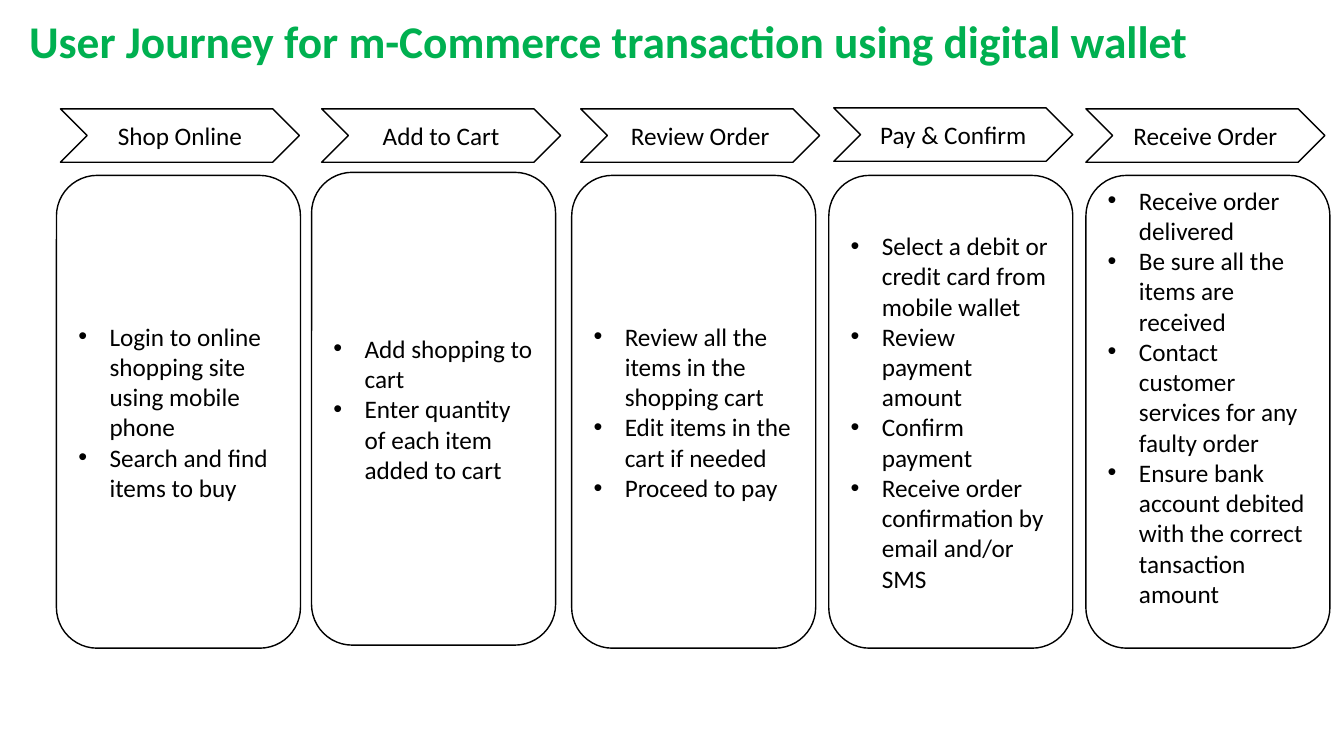
import pptx
import pptx.util
import pptx.dml.color
import pptx.enum.shapes
import pptx.enum.text
from dataclasses import dataclass
from lxml import etree
from pptx.util import Inches

SHAPES = pptx.enum.shapes.MSO_SHAPE
ALIGN = pptx.enum.text.PP_ALIGN
MIDDLE = pptx.enum.text.MSO_ANCHOR.MIDDLE


@dataclass(frozen=True)
class Theme:
    font: str = "Calibri"
    title_color: str = "00B050"
    ink: str = "000000"
    paper: str = "FFFFFF"
    title_size: float = 32.4
    body_size: float = 18
    line_width: float = 1
    bullet_indent: float = 0.31


class SlideBuilder:
    def __init__(self, page, theme):
        self.page = page
        self.theme = theme

    def color(self, value):
        return pptx.dml.color.RGBColor.from_string(value)

    def add_run(self, para, text, size, color, bold=False):
        span = para.add_run()
        span.text = text
        span.font.name = self.theme.font
        span.font.size = pptx.util.Pt(size)
        span.font.bold = bold
        span.font.color.rgb = self.color(color)

    def title(self, text, left, top, width, height):
        box = self.page.shapes.add_textbox(
            Inches(left), Inches(top), Inches(width), Inches(height))
        frame = box.text_frame
        frame.word_wrap = True
        frame.vertical_anchor = MIDDLE
        para = frame.paragraphs[0]
        para.line_spacing = 0.9
        self.add_run(para, text, self.theme.title_size, self.theme.title_color, bold=True)

    def outlined_shape(self, kind, left, top, width, height):
        shape = self.page.shapes.add_shape(
            kind, Inches(left), Inches(top), Inches(width), Inches(height))
        shape.shadow.inherit = False
        shape.fill.solid()
        shape.fill.fore_color.rgb = self.color(self.theme.paper)
        shape.line.color.rgb = self.color(self.theme.ink)
        shape.line.width = pptx.util.Pt(self.theme.line_width)
        shape.text_frame.word_wrap = True
        shape.text_frame.vertical_anchor = MIDDLE
        return shape

    def step_arrow(self, text, left, top, width, height):
        shape = self.outlined_shape(SHAPES.CHEVRON, left, top, width, height)
        para = shape.text_frame.paragraphs[0]
        para.alignment = ALIGN.CENTER
        self.add_run(para, text, self.theme.body_size, self.theme.ink)

    def bullet_card(self, items, left, top, width, height, bottom_inset):
        shape = self.outlined_shape(SHAPES.ROUNDED_RECTANGLE, left, top, width, height)
        frame = shape.text_frame
        frame.margin_bottom = Inches(bottom_inset)
        for index, item in enumerate(items):
            para = frame.add_paragraph() if index else frame.paragraphs[0]
            para.alignment = ALIGN.LEFT
            self.add_bullet(para)
            self.add_run(para, item, self.theme.body_size, self.theme.ink)

    def add_bullet(self, para):
        indent = Inches(self.theme.bullet_indent)
        properties = para._p.get_or_add_pPr()
        properties.set("marL", str(indent))
        properties.set("indent", str(-indent))
        for tag, name, value in (("a:buFont", "typeface", "Arial"), ("a:buChar", "char", "•")):
            etree.SubElement(properties, pptx.oxml.ns.qn(tag)).set(name, value)


# Journey steps: name, arrow left and top, card left and top, card bottom inset, actions
STEPS = [
    ("Shop Online", 0.6, 1.08, 0.56, 1.74, 0.05, [
        "Login to online shopping site using mobile phone",
        "Search and find items to buy"]),
    ("Add to Cart", 3.19, 1.08, 3.09, 1.71, 0.05, [
        "Add shopping to cart",
        "Enter quantity of each item added to cart"]),
    ("Review Order", 5.76, 1.08, 5.67, 1.74, 0.05, [
        "Review all the items in the shopping cart",
        "Edit items in the cart if needed",
        "Proceed to pay"]),
    ("Pay & Confirm", 8.27, 1.07, 8.22, 1.74, 0.05, [
        "Select a debit or credit card from mobile wallet",
        "Review payment amount",
        "Confirm payment",
        "Receive order confirmation by email and/or SMS"]),
    ("Receive Order", 10.77, 1.08, 10.77, 1.74, 0.35, [
        "Receive order delivered",
        "Be sure all the items are received",
        "Contact customer services for any faulty order",
        "Ensure bank account debited with the correct tansaction amount"]),
]
ARROW_SIZE = (2.37, 0.53)
CARD_SIZE = (2.42, 4.69)

# Deck and blank page
deck = pptx.Presentation()
deck.slide_width = Inches(13.33)
deck.slide_height = Inches(7.5)
builder = SlideBuilder(deck.slides.add_slide(deck.slide_layouts[6]), Theme())

# Heading
builder.title("User Journey for m-Commerce transaction using digital wallet",
              0.19, 0.11, 13.07, 0.65)

# One arrow and one card per step
for name, arrow_left, arrow_top, card_left, card_top, bottom_inset, actions in STEPS:
    builder.step_arrow(name, arrow_left, arrow_top, *ARROW_SIZE)
    builder.bullet_card(actions, card_left, card_top, *CARD_SIZE, bottom_inset)

deck.save("out.pptx")
